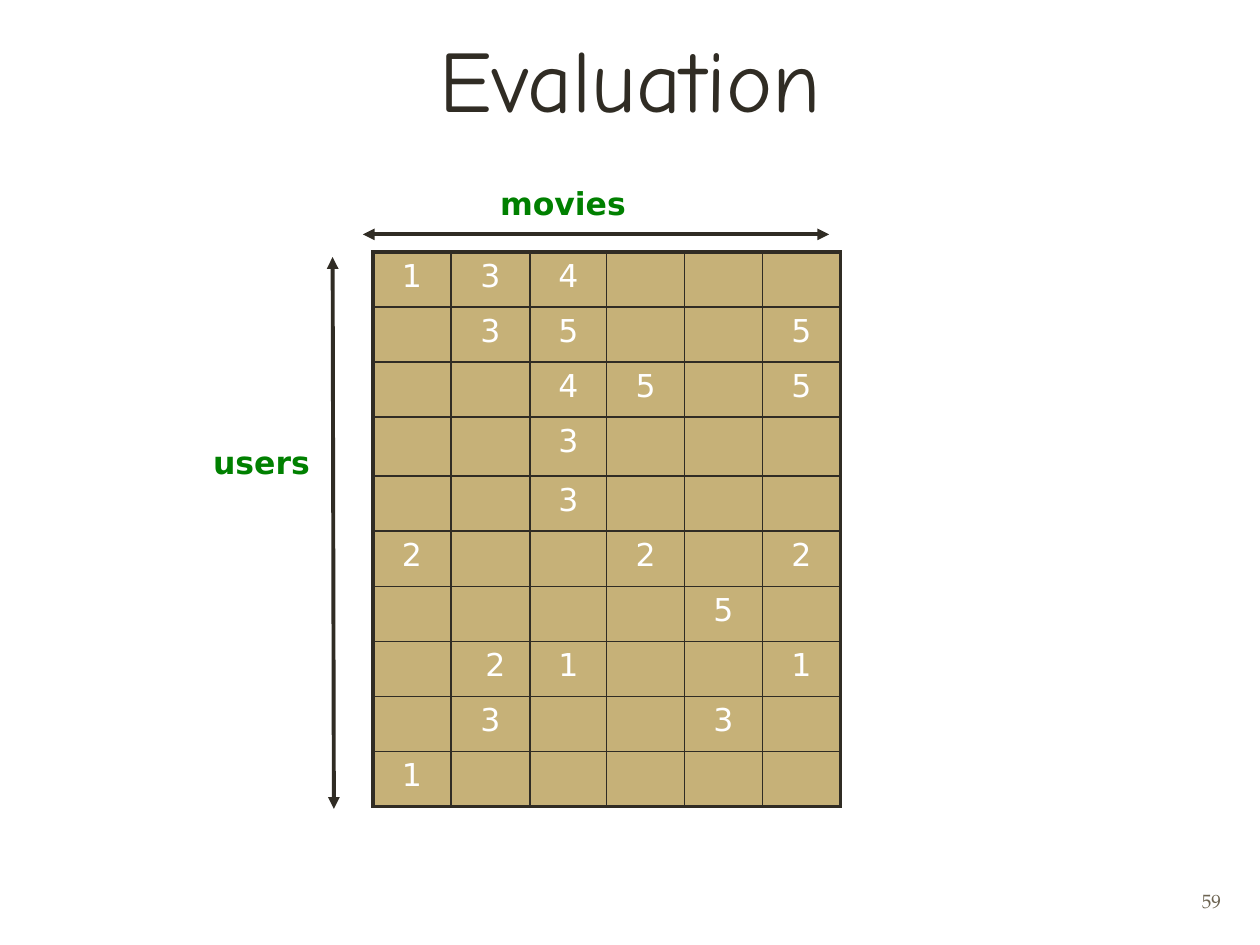
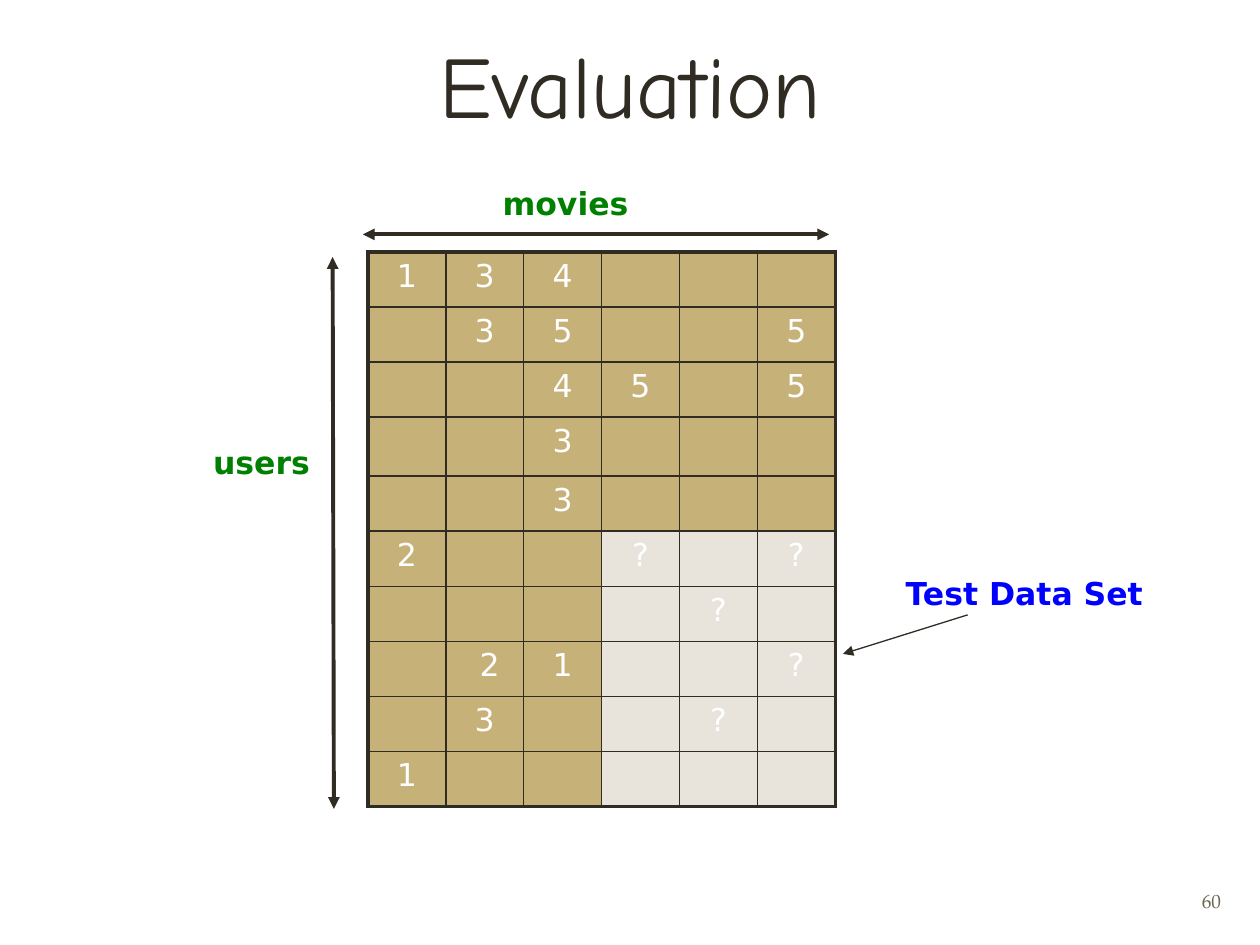
from dataclasses import dataclass

import lxml.etree
import pptx
import pptx.dml.color
import pptx.enum.shapes
import pptx.enum.text
import pptx.oxml.ns
import pptx.util

Inches = pptx.util.Inches
Align = pptx.enum.text.PP_ALIGN
Anchor = pptx.enum.text.MSO_ANCHOR
AutoSize = pptx.enum.text.MSO_AUTO_SIZE

INK = "302C24"
TAN = "C6B178"
PALE = "E8E4DB"
WHITE = "FFFFFF"
GREEN = "008000"
BLUE = "0000FF"
GREY = "6D6452"

TITLE_FONT = "Comic Neue"
BODY_FONT = "DejaVu Sans"
NUMBER_FONT = "TeX Gyre Pagella"

THICK, THIN, HAIRLINE = 2.25, 1, 0.75

TABLE_TOP, TABLE_WIDTH, TABLE_HEIGHT = 2, 3.71, 4.4
TALL_ROW, TALL_ROW_HEIGHT = 3, 0.47
TEST_ROW, TEST_COLUMN = 5, 3

RATINGS = [
    ["1", "3", "4", "", "", ""],
    ["", "3", "5", "", "", "5"],
    ["", "", "4", "5", "", "5"],
    ["", "", "3", "", "", ""],
    ["", "", "3", "", "", ""],
    ["2", "", "", "2", "", "2"],
    ["", "", "", "", "5", ""],
    ["", " 2", "1", "", "", "1"],
    ["", "3", "", "", "3", ""],
    ["1", "", "", "", "", ""],
]


@dataclass
class Label:
    text: str
    left: float
    top: float
    width: float
    color: str = GREEN
    wrap: bool = False
    align: Align = Align.LEFT


@dataclass
class Arrow:
    start: tuple[float, float]
    end: tuple[float, float]
    width: float = THICK
    double: bool = True


@dataclass
class EvaluationSlide:
    number: int
    title_height: float
    table_left: float
    column_weights: list[float]
    hide_test_set: bool
    labels: list[Label]
    arrows: list[Arrow]


USERS = Label("users", 1.1, 3.47, 1.95, wrap=True, align=Align.CENTER)
AXES = [Arrow((2.64, 2.04), (2.65, 6.42)), Arrow((2.88, 1.86), (6.58, 1.86))]

SLIDES = [
    EvaluationSlide(59, 0.98, 2.96, [0.62, 0.63, 0.61, 0.62, 0.62, 0.62], False,
                    [Label("movies", 3.87, 1.41, 1.21), USERS], AXES),
    EvaluationSlide(60, 1.03, 2.92, [1] * 6, True,
                    [Label("movies", 3.89, 1.41, 1.21), USERS,
                     Label("Test Data Set", 7.09, 4.51, 2.1, color=BLUE)],
                    AXES + [Arrow((7.68, 4.88), (6.69, 5.19), HAIRLINE, double=False)]),
]


def rgb(color: str) -> pptx.dml.color.RGBColor:
    return pptx.dml.color.RGBColor.from_string(color)


def write(frame, text: str, *, size: float = 18, font: str = BODY_FONT, color: str = INK,
          bold: bool = False, align: Align = Align.LEFT) -> None:
    paragraph = frame.paragraphs[0]
    paragraph.alignment = align
    run = paragraph.add_run()
    run.text = text
    run.font.size = pptx.util.Pt(size)
    run.font.name = font
    run.font.bold = bold
    run.font.color.rgb = rgb(color)


def add_child(parent, tag: str, **attributes: str):
    return lxml.etree.SubElement(parent, pptx.oxml.ns.qn(tag), attributes)


def set_title(slide, height: float) -> None:
    title = slide.shapes.title
    title.left, title.top = Inches(0.55), Inches(0.1)
    title.width, title.height = Inches(8.91), Inches(height)
    title.text_frame.auto_size = AutoSize.NONE
    title.text_frame.vertical_anchor = Anchor.BOTTOM
    write(title.text_frame, "Evaluation", size=50, font=TITLE_FONT, align=Align.CENTER)


def add_label(slide, label: Label) -> None:
    box = slide.shapes.add_textbox(Inches(label.left), Inches(label.top),
                                   Inches(label.width), Inches(0.4))
    box.text_frame.word_wrap = label.wrap
    box.text_frame.auto_size = AutoSize.SHAPE_TO_FIT_TEXT
    write(box.text_frame, label.text, color=label.color, bold=True, align=label.align)


def add_slide_number(slide, number: int) -> None:
    box = slide.shapes.add_textbox(Inches(7.46), Inches(6.95), Inches(2.33), Inches(0.4))
    box.text_frame.word_wrap = True
    box.text_frame.vertical_anchor = Anchor.MIDDLE
    write(box.text_frame, str(number), size=11, font=NUMBER_FONT, color=GREY,
          align=Align.RIGHT)


def add_arrow(slide, arrow: Arrow) -> None:
    connector = slide.shapes.add_connector(
        pptx.enum.shapes.MSO_CONNECTOR.STRAIGHT,
        *(Inches(value) for value in arrow.start + arrow.end))
    connector.line.color.rgb = rgb(INK)
    connector.line.width = pptx.util.Pt(arrow.width)
    line = connector.line._get_or_add_ln()
    if arrow.double:
        add_child(line, "a:headEnd", type="triangle")
    add_child(line, "a:tailEnd", type="triangle")
    add_child(connector._element.spPr, "a:effectLst")


def set_borders(cell, outer_sides: dict[str, bool]) -> None:
    """Draw the sides on the table's outline thick and the others thin."""
    properties = cell._tc.get_or_add_tcPr()
    for side, is_outer in outer_sides.items():
        width = pptx.util.Pt(THICK if is_outer else THIN)
        border = add_child(properties, f"a:ln{side}", w=str(width))
        add_child(add_child(border, "a:solidFill"), "a:srgbClr", val=INK)


def add_ratings(slide, plan: EvaluationSlide) -> None:
    row_count, column_count = len(RATINGS), len(RATINGS[0])
    table = slide.shapes.add_table(row_count, column_count, Inches(plan.table_left),
                                   Inches(TABLE_TOP), Inches(TABLE_WIDTH),
                                   Inches(TABLE_HEIGHT)).table
    table.first_row = table.horz_banding = False
    for column, weight in zip(table.columns, plan.column_weights):
        column.width = Inches(TABLE_WIDTH * weight / sum(plan.column_weights))
    row_height = (TABLE_HEIGHT - TALL_ROW_HEIGHT) / (row_count - 1)
    for i, ratings in enumerate(RATINGS):
        table.rows[i].height = Inches(TALL_ROW_HEIGHT if i == TALL_ROW else row_height)
        for j, rating in enumerate(ratings):
            cell = table.cell(i, j)
            hidden = plan.hide_test_set and i >= TEST_ROW and j >= TEST_COLUMN
            set_borders(cell, {"L": j == 0, "R": j == column_count - 1,
                               "T": i == 0, "B": i == row_count - 1})
            cell.fill.solid()
            cell.fill.fore_color.rgb = rgb(PALE if hidden else TAN)
            if rating:
                write(cell.text_frame, "?" if hidden else rating, color=WHITE,
                      align=Align.CENTER)


def main() -> None:
    presentation = pptx.Presentation()
    presentation.slide_width, presentation.slide_height = Inches(10), Inches(7.5)
    title_only = presentation.slide_layouts[5]
    for plan in SLIDES:
        slide = presentation.slides.add_slide(title_only)
        set_title(slide, plan.title_height)
        add_ratings(slide, plan)
        for label in plan.labels:
            add_label(slide, label)
        for arrow in plan.arrows:
            add_arrow(slide, arrow)
        add_slide_number(slide, plan.number)
    presentation.save("out.pptx")


if __name__ == "__main__":
    main()
